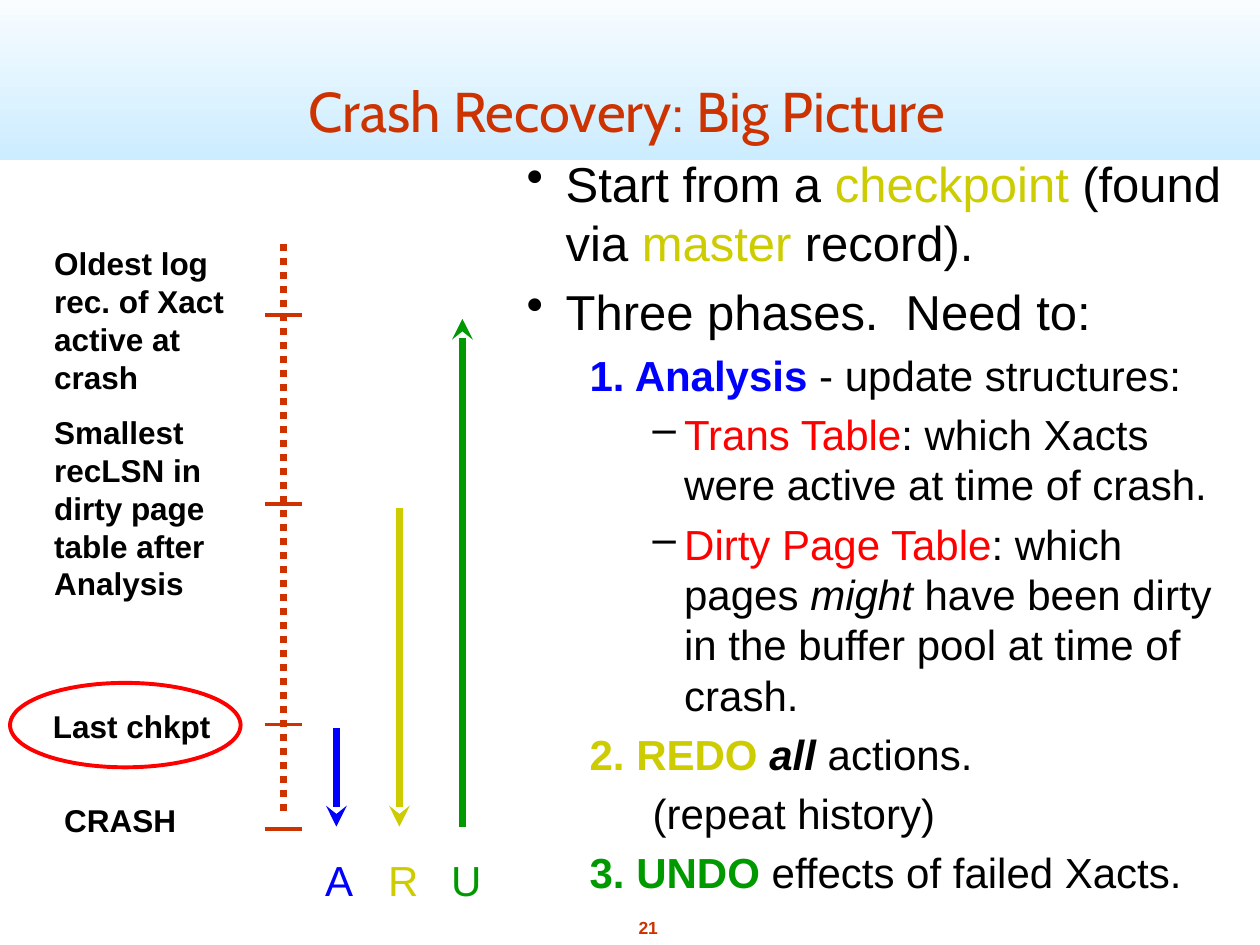
from dataclasses import dataclass

from lxml import etree
from pptx import Presentation
from pptx.dml.color import RGBColor
from pptx.enum import dml, shapes, text
from pptx.oxml.ns import qn
from pptx.util import Inches, Pt

RUST, BLACK, RED = "CC3300", "000000", "FF0000"
BLUE, YELLOW, GREEN = "0000FF", "CCCC00", "009900"


@dataclass
class Label:
    words: str
    left: float
    top: float
    width: float
    height: float
    size: float = 18
    color: str = BLACK
    bold: bool = True
    wrap: bool = True
    align: text.PP_ALIGN = text.PP_ALIGN.LEFT
    before: float = 0


@dataclass
class Phase:
    letter: str
    x: float
    start: float
    end: float
    color: str


@dataclass
class Run:
    words: str
    color: str = BLACK
    bold: bool = False
    italic: bool = False


@dataclass
class Point:
    runs: list[Run]
    level: int
    margin: float
    indent: float
    bullet: str = ""
    size: float = 24
    before: float = 5


def rgb(color: str) -> RGBColor:
    return RGBColor.from_string(color)


def style_font(font, size: float, color: str, name: str = "Arial") -> None:
    font.size, font.name = Pt(size), name
    font.color.rgb = rgb(color)


def set_margins(frame) -> None:
    frame.margin_left = frame.margin_right = Inches(0.05)
    frame.margin_top = frame.margin_bottom = Inches(0.05)


def add_frame(parent, left: float, top: float, width: float, height: float, wrap: bool = True):
    frame = parent.add_textbox(Inches(left), Inches(top), Inches(width), Inches(height)).text_frame
    set_margins(frame)
    frame.word_wrap = wrap
    frame.auto_size = text.MSO_AUTO_SIZE.SHAPE_TO_FIT_TEXT
    return frame


def draw_label(parent, label: Label) -> None:
    frame = add_frame(parent, label.left, label.top, label.width, label.height, label.wrap)
    paragraph = frame.paragraphs[0]
    paragraph.text = label.words
    paragraph.alignment = label.align
    paragraph.space_before = Pt(label.before)
    style_font(paragraph.font, label.size, label.color)
    paragraph.font.bold = label.bold


def draw_line(parent, x1: float, y1: float, x2: float, y2: float,
              color: str, width: float, dash=None, arrow: bool = False) -> None:
    line = parent.add_connector(shapes.MSO_CONNECTOR.STRAIGHT,
                                Inches(x1), Inches(y1), Inches(x2), Inches(y2))
    line.line.color.rgb = rgb(color)
    line.line.width = Pt(width)
    if dash is not None:
        line.line.dash_style = dash
    properties = line._element.spPr
    if arrow:
        etree.SubElement(properties.find(qn("a:ln")), qn("a:tailEnd"), type="stealth")
    etree.SubElement(properties, qn("a:effectLst"))


def draw_phase(parent, phase: Phase) -> None:
    group = parent.add_group_shape().shapes
    draw_line(group, phase.x, phase.start, phase.x, phase.end, phase.color, 4, arrow=True)
    draw_label(group, Label(phase.letter, phase.x - 0.14, 6.73, 0.35, 0.5,
                            24, phase.color, bold=False, wrap=False))


def write_point(paragraph, point: Point) -> None:
    paragraph.level = point.level
    paragraph.space_before = Pt(point.before)
    properties = paragraph._p.get_or_add_pPr()
    properties.set("marL", str(Inches(point.margin)))
    properties.set("indent", str(Inches(point.indent)))
    if point.bullet:
        bullet_color = etree.SubElement(properties, qn("a:buClr"))
        etree.SubElement(bullet_color, qn("a:srgbClr"), val=BLACK)
        etree.SubElement(properties, qn("a:buChar"), char=point.bullet)
    for part in point.runs:
        run = paragraph.add_run()
        run.text = part.words
        style_font(run.font, point.size, part.color)
        run.font.bold, run.font.italic = part.bold, part.italic


def topic(*runs: Run) -> Point:
    return Point(list(runs), 0, 0.31, -0.31, "•", 28, 6)


def step(*runs: Run) -> Point:
    return Point(list(runs), 1, 0.31, 0.19)


def detail(*runs: Run) -> Point:
    return Point(list(runs), 2, 1.25, -0.25, "–")


POINTS = [
    topic(Run("Start from a "), Run("checkpoint", YELLOW), Run(" (found via "),
          Run("master", YELLOW), Run(" record).")),
    topic(Run("Three phases.  Need to:")),
    step(Run("1. Analysis ", BLUE, True), Run("- update structures:")),
    detail(Run("Trans Table", RED), Run(": which Xacts were active at time of crash.")),
    detail(Run("Dirty Page Table", RED), Run(": which pages "), Run("might", italic=True),
           Run(" have been dirty in the buffer pool at time of crash.")),
    step(Run("2. REDO ", YELLOW, True), Run("all", bold=True, italic=True), Run(" actions.")),
    Point([Run("(repeat history)")], 2, 0.25, 0.75),
    step(Run("3. UNDO", GREEN, True), Run(" effects of failed Xacts.")),
]
LOG_LABELS = [
    Label("Oldest log rec. of Xact active at crash", 0.38, 1.89, 1.74, 1.32),
    Label("Smallest recLSN in dirty page table after Analysis", 0.38, 3.23, 1.74, 1.63),
    Label("Last chkpt", 0.37, 5.56, 1.74, 0.4),
    Label("CRASH", 0.46, 6.31, 1.74, 0.4),
]
PHASES = [
    Phase("A", 2.67, 5.78, 6.56, BLUE),
    Phase("R", 3.17, 4.03, 6.56, YELLOW),
    Phase("U", 3.67, 6.56, 2.53, GREEN),
]


def main() -> None:
    deck = Presentation()
    deck.slide_width, deck.slide_height = Inches(10), Inches(7.5)
    slide = deck.slides.add_slide(deck.slide_layouts[5])
    parts = slide.shapes

    # Header band, sent behind the title
    band = parts.add_shape(shapes.MSO_SHAPE.RECTANGLE, Inches(0), Inches(-0.17),
                           Inches(10), Inches(1.44))
    band.shadow.inherit = False
    band.line.fill.background()
    band.fill.gradient()
    band.fill.gradient_angle = 90
    for stop, color in zip(band.fill.gradient_stops, ("CCECFF", "FFFFFF")):
        stop.color.rgb = rgb(color)
    parts._spTree.insert(2, band._element)

    # Title
    title = parts.title
    title.left, title.top = Inches(0.85), Inches(0.3)
    title.width, title.height = Inches(8.25), Inches(0.89)
    heading = title.text_frame
    heading.text = "Crash Recovery: Big Picture"
    set_margins(heading)
    heading.auto_size = text.MSO_AUTO_SIZE.NONE
    heading.vertical_anchor = text.MSO_ANCHOR.BOTTOM
    heading.paragraphs[0].alignment = text.PP_ALIGN.CENTER
    style_font(heading.paragraphs[0].font, 32, RUST, "Cabin")

    # Page number
    draw_label(parts, Label("21", 5.01, 7.23, 0.27, 0.27, 10, RUST, wrap=False,
                            align=text.PP_ALIGN.CENTER, before=6))

    # Recovery outline
    outline = add_frame(parts, 4.13, 1.17, 5.65, 5.88)
    for number, point in enumerate(POINTS):
        write_point(outline.add_paragraph() if number else outline.paragraphs[0], point)

    # Log timeline with its labels and ticks
    draw_line(parts, 2.25, 1.94, 2.25, 6.47, RUST, 4, dash=dml.MSO_LINE.ROUND_DOT)
    for label in LOG_LABELS:
        draw_label(parts, label)
    for tick in (2.5, 4, 5.75, 6.58):
        draw_line(parts, 2.1, tick, 2.4, tick, RUST, 2)

    # Phase arrows
    for phase in PHASES:
        draw_phase(parts, phase)

    # Ring around the last checkpoint
    ring = parts.add_shape(shapes.MSO_SHAPE.OVAL, Inches(0.08), Inches(5.42),
                           Inches(1.83), Inches(0.67))
    ring.shadow.inherit = False
    ring.fill.background()
    ring.line.color.rgb = rgb(RED)
    ring.line.width = Pt(2.25)

    deck.save("out.pptx")


if __name__ == "__main__":
    main()
